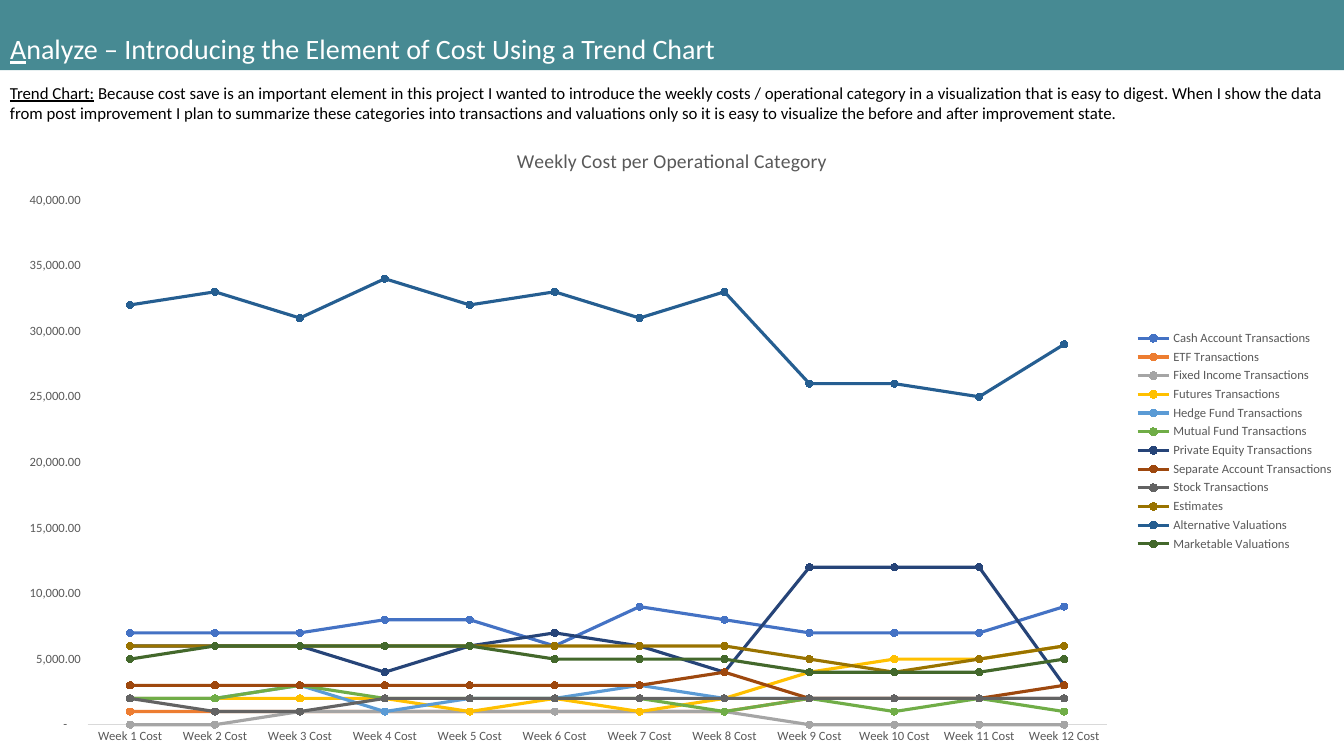
"""Build the weekly cost trend chart slide."""
from pptx import Presentation
from pptx.chart.data import CategoryChartData
from pptx.dml.color import RGBColor
from pptx.enum.chart import XL_CHART_TYPE, XL_LEGEND_POSITION, XL_MARKER_STYLE, XL_TICK_MARK
from pptx.enum.text import MSO_ANCHOR, MSO_AUTO_SIZE, PP_ALIGN
from pptx.util import Cm, Pt

LINE_MARKERS = XL_CHART_TYPE.LINE_MARKERS
LEGEND_RIGHT = XL_LEGEND_POSITION.RIGHT
CIRCLE = XL_MARKER_STYLE.CIRCLE
NO_TICK = XL_TICK_MARK.NONE
BOTTOM = MSO_ANCHOR.BOTTOM
NO_AUTOFIT = MSO_AUTO_SIZE.NONE
LEFT = PP_ALIGN.LEFT

TEAL = RGBColor(0x47, 0x8A, 0x93)
WHITE = RGBColor(0xFF, 0xFF, 0xFF)
BLACK = RGBColor(0x00, 0x00, 0x00)
GRAY = RGBColor(0x59, 0x59, 0x59)
LIGHT_GRAY = RGBColor(0xD9, 0xD9, 0xD9)

FONT = "Calibri"
WIDTH, HEIGHT = Cm(33.86), Cm(19.05)

SERIES_IN_THOUSANDS = [
    ("Cash Account Transactions", RGBColor(0x44, 0x72, 0xC4),
     (7, 7, 7, 8, 8, 6, 9, 8, 7, 7, 7, 9)),
    ("ETF Transactions", RGBColor(0xED, 0x7D, 0x31),
     (1, 1, 1, 1, 1, 1, 1, 1, 2, 2, 2, 2)),
    ("Fixed Income Transactions", RGBColor(0xA5, 0xA5, 0xA5),
     (0, 0, 1, 1, 1, 1, 1, 1, 0, 0, 0, 0)),
    ("Futures Transactions", RGBColor(0xFF, 0xC0, 0x00),
     (2, 2, 2, 2, 1, 2, 1, 2, 4, 5, 5, 6)),
    ("Hedge Fund Transactions", RGBColor(0x5B, 0x9B, 0xD5),
     (2, 2, 3, 1, 2, 2, 3, 2, 2, 2, 2, 2)),
    ("Mutual Fund Transactions", RGBColor(0x70, 0xAD, 0x47),
     (2, 2, 3, 2, 2, 2, 2, 1, 2, 1, 2, 1)),
    ("Private Equity Transactions", RGBColor(0x26, 0x44, 0x78),
     (6, 6, 6, 4, 6, 7, 6, 4, 12, 12, 12, 3)),
    ("Separate Account Transactions", RGBColor(0x9E, 0x48, 0x0E),
     (3, 3, 3, 3, 3, 3, 3, 4, 2, 2, 2, 3)),
    ("Stock Transactions", RGBColor(0x63, 0x63, 0x63),
     (2, 1, 1, 2, 2, 2, 2, 2, 2, 2, 2, 2)),
    ("Estimates", RGBColor(0x99, 0x73, 0x00),
     (6, 6, 6, 6, 6, 6, 6, 6, 5, 4, 5, 6)),
    ("Alternative Valuations", RGBColor(0x25, 0x5E, 0x91),
     (32, 33, 31, 34, 32, 33, 31, 33, 26, 26, 25, 29)),
    ("Marketable Valuations", RGBColor(0x43, 0x68, 0x2B),
     (5, 6, 6, 6, 6, 5, 5, 5, 4, 4, 4, 5)),
]


def style_font(font, size, color=GRAY):
    font.name = FONT
    font.size = Pt(size)
    font.color.rgb = color
    font.bold = False


def add_text(p, text, size, color, underline=False):
    r = p.add_run()
    r.text = text
    style_font(r.font, size, color)
    r.font.underline = underline


prs = Presentation()
prs.slide_width, prs.slide_height = WIDTH, HEIGHT
s = prs.slides.add_slide(prs.slide_layouts[5])

title = s.shapes.title
title.left, title.top, title.width, title.height = Cm(0), Cm(-0.03), WIDTH, Cm(1.8)
title.fill.solid()
title.fill.fore_color.rgb = TEAL
tf = title.text_frame
tf.auto_size = NO_AUTOFIT
tf.vertical_anchor = BOTTOM
p = tf.paragraphs[0]
p.alignment = LEFT
add_text(p, "A", 20, WHITE, underline=True)
add_text(p, "nalyze – Introducing the Element of Cost Using a Trend Chart", 20, WHITE)

sp = s.shapes.add_textbox(Cm(0), Cm(1.96), WIDTH, Cm(2.31))
tf = sp.text_frame
tf.word_wrap = True
p = tf.paragraphs[0]
add_text(p, "Trend Chart:", 12, BLACK, underline=True)
add_text(p, " Because cost save is an important element in this project I wanted to introduce "
            "the weekly costs / operational category in a visualization that is easy to digest. "
            "When I show the data from post improvement I plan to summarize these categories into "
            "transactions and valuations only so it is easy to visualize the before and after "
            "improvement state.", 12, BLACK)

data = CategoryChartData()
data.categories = [f"Week {week} Cost" for week in range(1, 13)]
for name, color, thousands in SERIES_IN_THOUSANDS:
    data.add_series(name, [value * 1000 for value in thousands])
chart = s.shapes.add_chart(LINE_MARKERS, Cm(0), Cm(3.18), WIDTH, Cm(15.87), data).chart
style_font(chart.font, 10, BLACK)

chart.has_title = True
chart.chart_title.include_in_layout = False
add_text(chart.chart_title.text_frame.paragraphs[0],
         "Weekly Cost per Operational Category", 14, GRAY)

chart.has_legend = True
chart.legend.position = LEGEND_RIGHT
chart.legend.include_in_layout = False
style_font(chart.legend.font, 9)

for axis in (chart.category_axis, chart.value_axis):
    axis.has_major_gridlines = False
    axis.major_tick_mark = axis.minor_tick_mark = NO_TICK
    style_font(axis.tick_labels.font, 9)
chart.category_axis.format.line.color.rgb = LIGHT_GRAY
chart.category_axis.format.line.width = Pt(0.75)

cost_axis = chart.value_axis
cost_axis.format.line.fill.background()
cost_axis.minimum_scale, cost_axis.maximum_scale, cost_axis.major_unit = 0, 40000, 5000
cost_axis.tick_labels.number_format = '_(* #,##0.00_);_(* \\(#,##0.00\\);_(* "-"??_);_(@_)'
cost_axis.tick_labels.number_format_is_linked = False

for series, (name, color, thousands) in zip(chart.plots[0].series, SERIES_IN_THOUSANDS):
    series.smooth = False
    series.format.line.color.rgb = color
    series.format.line.width = Pt(2.25)
    series.marker.style = CIRCLE
    series.marker.size = 5
    series.marker.format.fill.solid()
    series.marker.format.fill.fore_color.rgb = color
    series.marker.format.line.color.rgb = color

prs.save("out.pptx")
